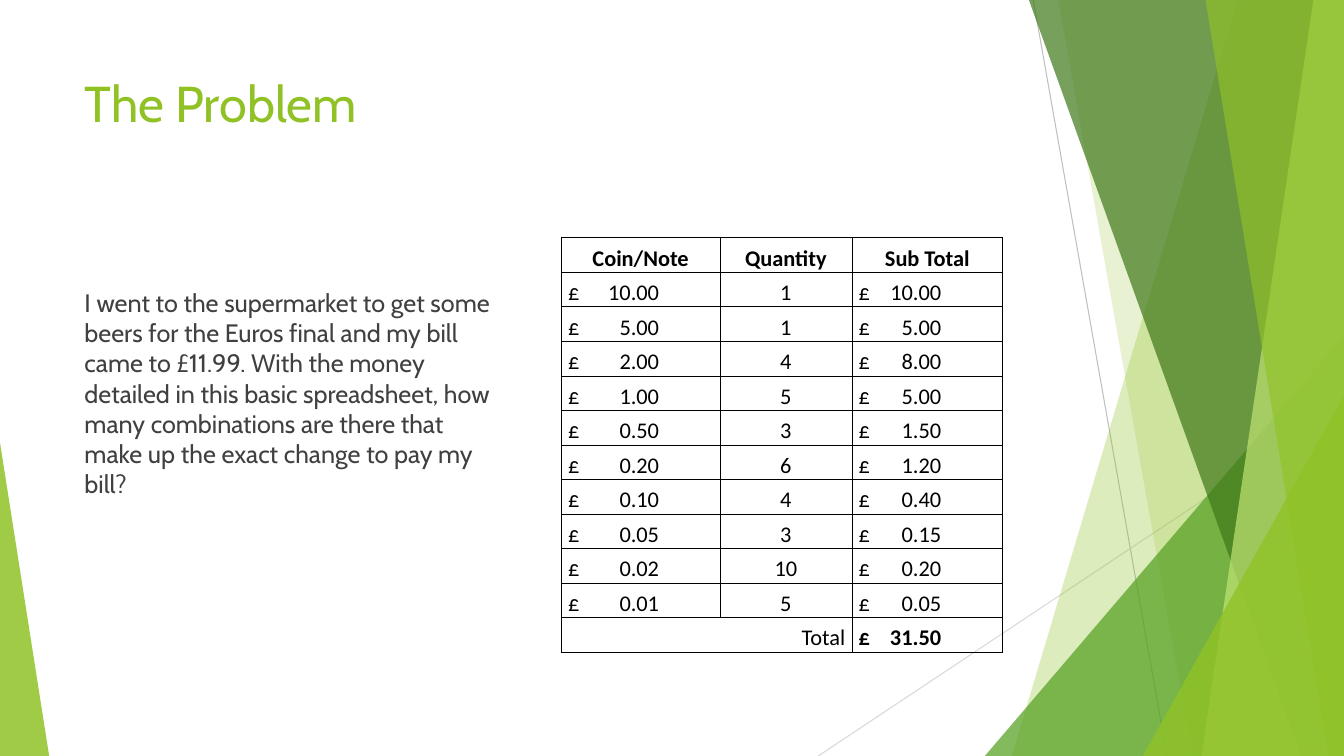
import dataclasses

import pptx
import pptx.dml.color
import pptx.enum.shapes
import pptx.enum.text
import pptx.oxml.ns
import pptx.util
from lxml import etree

Cm = pptx.util.Cm
Pt = pptx.util.Pt
Align = pptx.enum.text.PP_ALIGN
Anchor = pptx.enum.text.MSO_ANCHOR
qn = pptx.oxml.ns.qn


@dataclasses.dataclass(frozen=True)
class Theme:
    lime: str = "90C226"
    green: str = "54A021"
    forest: str = "3F7819"
    pale: str = "C0E474"
    grey: str = "BFBFBF"
    light_grey: str = "D9D9D9"
    body_ink: str = "404040"
    black: str = "000000"
    text_font: str = "Cabin"
    table_font: str = "Calibri"
    title_size: int = 36
    body_size: int = 18
    table_size: int = 16


THEME = Theme()
WIDTH, HEIGHT = 33.87, 19.05
HEADINGS = ["Coin/Note", "Quantity", "Sub Total"]
MONEY = [(10, 1), (5, 1), (2, 4), (1, 5), (0.5, 3),
         (0.2, 6), (0.1, 4), (0.05, 3), (0.02, 10), (0.01, 5)]
COLUMNS = [3.99, 3.33, 3.8]
ROW_HEIGHT = 0.87
NOTE_TAB, TOTAL_TAB = 2.29, 2.08
QUESTION = (
    "I went to the supermarket to get some beers for the Euros final and my bill "
    "came to £11.99. With the money detailed in this basic spreadsheet, how many "
    "combinations are there that make up the exact change to pay my bill?"
)


def apply(target, settings):
    for name, value in settings.items():
        setattr(target, name, value)


def rgb(color):
    return pptx.dml.color.RGBColor.from_string(color)


def paint(shape, color, opacity):
    shape.shadow.inherit = False
    shape.fill.solid()
    shape.fill.fore_color.rgb = rgb(color)
    shape.line.fill.background()
    tint = shape.element.spPr.find(".//" + qn("a:srgbClr"))
    etree.SubElement(tint, qn("a:alpha"), val=str(opacity * 1000))


def add_ray(page, start, end, color):
    ray = page.shapes.add_connector(
        pptx.enum.shapes.MSO_CONNECTOR.STRAIGHT, *map(Cm, start + end))
    ray.line.color.rgb = rgb(color)
    ray.line.width = Pt(0.75)
    etree.SubElement(ray.element.spPr, qn("a:effectLst"))


def add_band(page, top_x, bottom_x, color, opacity):
    builder = page.shapes.build_freeform(Cm(top_x), Cm(0))
    corners = [(WIDTH, 0), (WIDTH, HEIGHT), (bottom_x, HEIGHT)]
    builder.add_line_segments([(Cm(x), Cm(y)) for x, y in corners], close=True)
    paint(builder.convert_to_shape(), color, opacity)


def add_corner(page, left, top, width, peak, color, opacity):
    corner = page.shapes.add_shape(
        pptx.enum.shapes.MSO_SHAPE.ISOSCELES_TRIANGLE,
        Cm(left), Cm(top), Cm(width), Cm(HEIGHT - top))
    corner.adjustments[0] = peak
    paint(corner, color, opacity)


def write(para, text, font, size, color, bold=False):
    span = para.add_run()
    span.text = text
    apply(span.font, {"name": font, "size": Pt(size), "bold": bold})
    span.font.color.rgb = rgb(color)


def add_text(page, bounds, text, size, color):
    box = page.shapes.add_textbox(*map(Cm, bounds))
    apply(box.text_frame, {"word_wrap": True, "vertical_anchor": Anchor.TOP})
    write(box.text_frame.paragraphs[0], text, THEME.text_font, size, color)


def add_borders(cell):
    properties = cell._tc.get_or_add_tcPr()
    for index, side in enumerate(("lnL", "lnR", "lnT", "lnB")):
        border = etree.Element(qn("a:" + side), w=str(Pt(0.5)))
        fill = etree.SubElement(border, qn("a:solidFill"))
        etree.SubElement(fill, qn("a:srgbClr"), val=THEME.black)
        properties.insert(index, border)


def add_tab(para, position):
    tabs = etree.SubElement(para._p.get_or_add_pPr(), qn("a:tabLst"))
    etree.SubElement(tabs, qn("a:tab"), pos=str(Cm(position)), algn="r")


def fill_cell(cell, text, align=Align.CENTER, tab=None, bold=False):
    apply(cell, {
        "vertical_anchor": Anchor.BOTTOM,
        "margin_left": Cm(0.17), "margin_right": Cm(0.17),
        "margin_top": Cm(0.05), "margin_bottom": Cm(0),
    })
    para = cell.text_frame.paragraphs[0]
    para.alignment = align
    if tab:
        add_tab(para, tab)
    write(para, text, THEME.table_font, THEME.table_size, THEME.black, bold)


def fill_amount(cell, amount, tab, bold=False):
    fill_cell(cell, f"£\t{amount:.2f}", Align.LEFT, tab, bold)


def add_money_table(page):
    last = len(MONEY) + 1
    frame = page.shapes.add_table(
        last + 1, len(COLUMNS), Cm(14.15), Cm(5.99),
        Cm(sum(COLUMNS)), Cm(ROW_HEIGHT * (last + 1)))
    table = frame.table
    apply(table, {"first_row": False, "horz_banding": False})
    for column, width in zip(table.columns, COLUMNS):
        column.width = Cm(width)
    for row in table.rows:
        row.height = Cm(ROW_HEIGHT)
    for cell in table.iter_cells():
        cell.fill.background()
        add_borders(cell)
    for index, heading in enumerate(HEADINGS):
        fill_cell(table.cell(0, index), heading, bold=True)
    for index, (value, quantity) in enumerate(MONEY, start=1):
        fill_amount(table.cell(index, 0), value, NOTE_TAB)
        fill_cell(table.cell(index, 1), str(quantity))
        fill_amount(table.cell(index, 2), value * quantity, TOTAL_TAB)
    table.cell(last, 0).merge(table.cell(last, 1))
    fill_cell(table.cell(last, 0), "Total", Align.RIGHT)
    total = sum(value * quantity for value, quantity in MONEY)
    fill_amount(table.cell(last, 2), total, TOTAL_TAB, bold=True)


def add_backdrop(page):
    add_ray(page, (26.04, 0), (29.41, HEIGHT), THEME.grey)
    add_ray(page, (WIDTH, 10.24), (20.62, HEIGHT), THEME.light_grey)
    add_band(page, 31.19, 25.5, THEME.lime, 30)
    add_band(page, 26.67, 30.05, THEME.lime, 20)
    add_corner(page, 24.82, 8.46, WIDTH - 24.82, 1, THEME.green, 72)
    add_band(page, 25.93, 32.79, THEME.forest, 70)
    add_band(page, 33.1, 30.28, THEME.pale, 70)
    add_band(page, 30.38, 33.48, THEME.lime, 65)
    add_corner(page, 28.8, 9.98, WIDTH - 28.8, 1, THEME.lime, 80)
    add_corner(page, 0, 11.15, 1.24, 0, THEME.lime, 85)


def main():
    deck = pptx.Presentation()
    apply(deck, {"slide_width": Cm(WIDTH), "slide_height": Cm(HEIGHT)})
    page = deck.slides.add_slide(deck.slide_layouts[6])
    add_backdrop(page)
    add_text(page, (1.88, 1.7, 23.88, 3.66), "The Problem",
             THEME.title_size, THEME.lime)
    add_text(page, (1.88, 7.11, 11, 9.3), QUESTION,
             THEME.body_size, THEME.body_ink)
    add_money_table(page)
    deck.save("out.pptx")


if __name__ == "__main__":
    main()
